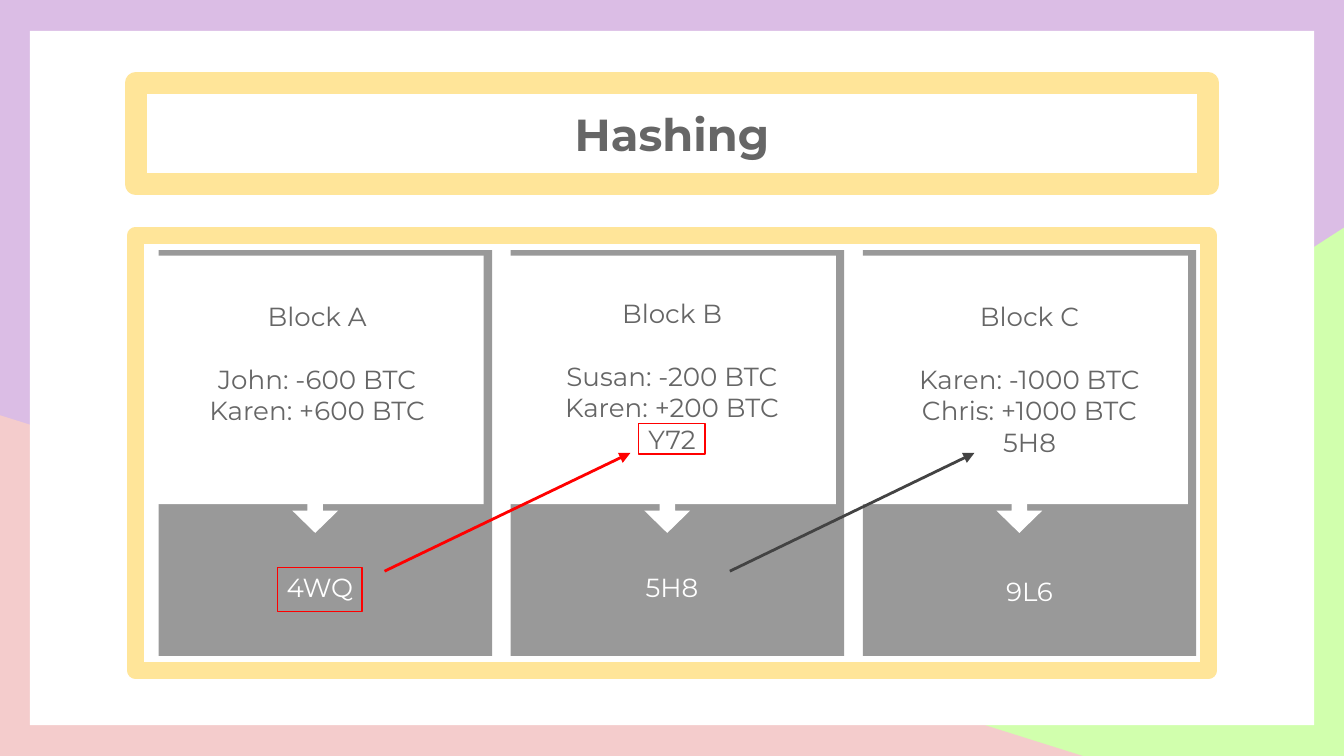
from lxml import etree
from pptx import Presentation
from pptx.dml.color import RGBColor
from pptx.enum.shapes import MSO_CONNECTOR, MSO_SHAPE
from pptx.enum.text import MSO_ANCHOR, PP_ALIGN
from pptx.oxml.ns import qn
from pptx.util import Pt

RECT = MSO_SHAPE.RECTANGLE
TRIANGLE = MSO_SHAPE.RIGHT_TRIANGLE
RIGHT_ARROW = MSO_SHAPE.RIGHT_ARROW
STRAIGHT = MSO_CONNECTOR.STRAIGHT
CENTER = PP_ALIGN.CENTER
TOP, MIDDLE = MSO_ANCHOR.TOP, MSO_ANCHOR.MIDDLE

FONT = "Montserrat"
LILAC, GREEN, PINK, YELLOW = "DBBDE5", "D1FFAD", "F4CCCC", "FFE599"
WHITE, GREY, TEXT_GREY, DARK, RED = "FFFFFF", "999999", "666666", "434343", "FF0000"

CARD_LEFT, CARD_TOP, CARD_PITCH = 85, 134, 188.6
CARD_W, CARD_H = 178.6, 217.4
LINE_H = 17

# Block lines, their left offset and top, then hash, its left offset and top
CARDS = [
    (["Block A", "John: -600 BTC", "Karen: +600 BTC"], 5, 153.6, "4WQ", -2.9, 285.1),
    (["Block B", "Susan: -200 BTC", "Karen: +200 BTC", "Y72"], 6.5, 152.1, "5H8", -2.9, 285.1),
    (["Block C", "Karen: -1000 BTC", "Chris: +1000 BTC", "5H8"], 9.4, 153.6, "9L6", 0, 287.3),
]


def rgb(hex_color):
    return RGBColor.from_string(hex_color)


def add_shape(s, kind, x, y, w, h, fill=None, line=None, line_w=0.75):
    sp = s.shapes.add_shape(kind, Pt(x), Pt(y), Pt(w), Pt(h))
    sp.shadow.inherit = False
    if fill:
        sp.fill.solid()
        sp.fill.fore_color.rgb = rgb(fill)
    else:
        sp.fill.background()
    if line:
        sp.line.color.rgb = rgb(line)
        sp.line.width = Pt(line_w)
    else:
        sp.line.fill.background()
    return sp


def set_text(sp, lines, color, size=14, bold=False, anchor=MIDDLE):
    tf = sp.text_frame
    tf.word_wrap = True
    tf.vertical_anchor = anchor
    tf.margin_left = tf.margin_right = tf.margin_top = tf.margin_bottom = Pt(7.2)
    tf.text = "\n".join(lines)
    for p in tf.paragraphs:
        p.alignment = CENTER
        for r in p.runs:
            r.font.name = FONT
            r.font.size = Pt(size)
            r.font.bold = bold
            r.font.color.rgb = rgb(color)
    return tf


def add_text(s, x, y, w, h, lines, color, anchor=MIDDLE):
    box = s.shapes.add_textbox(Pt(x), Pt(y), Pt(w), Pt(h))
    return set_text(box, lines, color, anchor=anchor)


def add_arrow(s, x1, y1, x2, y2, color):
    line = s.shapes.add_connector(STRAIGHT, Pt(x1), Pt(y1), Pt(x2), Pt(y2))
    line.line.color.rgb = rgb(color)
    line.line.width = Pt(1.5)
    etree.SubElement(line.line._get_or_add_ln(), qn("a:tailEnd"), type="triangle")
    etree.SubElement(line.element.spPr, qn("a:effectLst"))


def add_background(s):
    s.background.fill.solid()
    s.background.fill.fore_color.rgb = rgb(LILAC)
    corner = add_shape(s, TRIANGLE, 282, 122, 438, 283, GREEN)
    corner.element.spPr.xfrm.set("flipH", "1")
    add_shape(s, TRIANGLE, 0, 222.5, 580, 182.5, PINK)
    add_shape(s, RECT, 16, 16.5, 688, 372, WHITE)


def add_card(s, x, lines, text_dx, text_top, hash_text, hash_dx, hash_top):
    add_shape(s, RECT, x, CARD_TOP, CARD_W, CARD_H, GREY)
    add_shape(s, RECT, x - 5.8, CARD_TOP + 2.9, 180, 133.2, WHITE)
    down = add_shape(s, RIGHT_ARROW, x + 73.4, 262.8, 20.9, 24.5, WHITE)
    down.rotation = 90
    down.adjustments[0], down.adjustments[1] = 0.34, 0.57
    tf = add_text(s, x + text_dx, text_top, 160, 100, lines, TEXT_GREY, TOP)
    tf.paragraphs[0].space_after = Pt(LINE_H)
    add_text(s, x + hash_dx, hash_top, CARD_W, 58.3, [hash_text], WHITE)


def main():
    prs = Presentation()
    prs.slide_width, prs.slide_height = Pt(720), Pt(405)
    s = prs.slides.add_slide(prs.slide_layouts[6])
    add_background(s)

    title = add_shape(s, RECT, 72.7, 44.6, 574.6, 54, WHITE, YELLOW, 12)
    set_text(title, ["Hashing"], TEXT_GREY, 24, True)
    add_shape(s, RECT, 72.7, 126, 574.6, 233.3, WHITE, YELLOW, 9)
    for i, card in enumerate(CARDS):
        add_card(s, CARD_LEFT + i * CARD_PITCH, *card)

    add_shape(s, RECT, 342.2, 226.8, 35.5, 16.4, line=RED)
    add_shape(s, RECT, 148.5, 304, 45.5, 23.8, line=RED)
    add_arrow(s, 206, 306, 337.7, 242.7, RED)
    add_arrow(s, 391, 306, 522, 242.7, DARK)
    prs.save("out.pptx")


if __name__ == "__main__":
    main()
